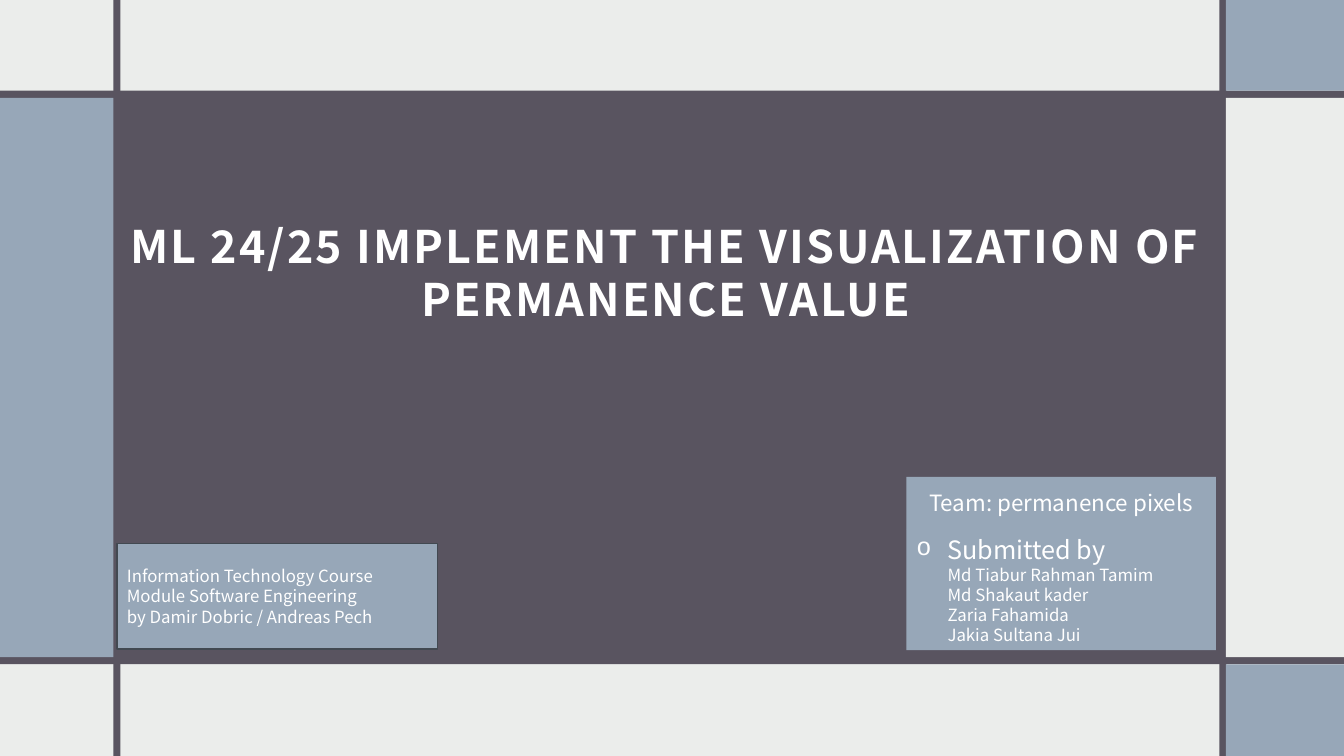
from pptx import Presentation
from pptx import util as u
from pptx.dml.color import RGBColor
from pptx.enum import shapes, text
from pptx.oxml.ns import qn

FONT = "Noto Sans CJK JP"
WHITE, LIGHT, DARK, BLUE, EDGE = "FFFFFF", "EBEDEB", "595460", "97A7B8", "424951"
WIDTH, HEIGHT = 13.33, 7.5
BAND_TOP, BAND_BOTTOM = 0.9, 6.59
RULE, MARGIN = 0.07, 1.17


def color(value):
    return RGBColor.from_string(value)


def add_block(page, left, top, width, height, fill, line=None):
    """Plain rectangle without shadow, outlined only when a line colour is given."""
    block = page.shapes.add_shape(
        shapes.MSO_SHAPE.RECTANGLE, *map(u.Inches, (left, top, width, height)))
    block.shadow.inherit = False
    block.fill.solid()
    block.fill.fore_color.rgb = color(fill)
    if line:
        block.line.color.rgb = color(line)
        block.line.width = u.Pt(1)
    else:
        block.line.fill.background()
    block.text_frame.vertical_anchor = text.MSO_ANCHOR.MIDDLE
    return block


def add_text(frame, words, size, align=text.PP_ALIGN.LEFT, bold=False,
             tracking=0, indent=0, bullet=None):
    """Append one paragraph, filling the frame's first one if it is empty."""
    para = frame.paragraphs[0]
    if para.runs:
        para = frame.add_paragraph()
    para.alignment = align
    para.line_spacing = u.Pt(size * 1.2)
    properties = para._p.get_or_add_pPr()
    if indent:
        properties.set("marL", str(u.Inches(indent)))
    if bullet:
        properties.set("indent", str(-u.Inches(indent)))
        properties.append(properties.makeelement(qn("a:buFont"), {"typeface": "Courier New"}))
        properties.append(properties.makeelement(qn("a:buChar"), {"char": bullet}))
    span = para.add_run()
    span.text = words
    span.font.name = FONT
    span.font.size = u.Pt(size)
    span.font.bold = bold
    span.font.color.rgb = color(WHITE)
    if tracking:
        span._r.get_or_add_rPr().set("spc", str(int(tracking * 100)))


def draw_frame(page, width, height):
    """Dark band, side panels and the two vertical rules."""
    band = BAND_BOTTOM - BAND_TOP
    panel = band - 2 * RULE
    right = width - MARGIN
    add_block(page, 0, BAND_TOP, width, band, DARK)
    add_block(page, 0, BAND_TOP + RULE, MARGIN, panel, BLUE)
    for center in (1.16, 12.13):
        add_block(page, center - RULE / 2, 0, RULE, height, DARK)
    add_block(page, right, BAND_TOP + RULE, MARGIN, panel, LIGHT)
    add_block(page, right, 0, MARGIN, BAND_TOP, BLUE)
    add_block(page, right, BAND_BOTTOM, MARGIN, height - BAND_BOTTOM, BLUE)


def draw_title(page, left, top, width, height):
    box = page.shapes.add_textbox(*map(u.Inches, (left, top, width, height)))
    frame = box.text_frame
    frame.word_wrap = True
    frame.vertical_anchor = text.MSO_ANCHOR.MIDDLE
    frame.margin_left = frame.margin_right = frame.margin_top = u.Inches(0.12)
    # A deep bottom margin lifts the title above the middle
    frame.margin_bottom = u.Inches(2.22)
    add_text(frame, "ML 24/25 IMPLEMENT THE VISUALIZATION OF PERMANENCE VALUE", 32,
             align=text.PP_ALIGN.CENTER, bold=True, tracking=1.5)


def draw_team(page, left, top, width, height):
    """Team name above the list of members."""
    header = 0.52
    members = add_block(page, left, top + header, width, height - header, BLUE).text_frame
    add_text(members, "Submitted by", 18, indent=0.31, bullet="o")
    for name in ("Md Tiabur Rahman Tamim", "Md Shakaut kader",
                 "Zaria Fahamida", "Jakia Sultana Jui"):
        add_text(members, name, 12, indent=0.31)
    team = add_block(page, left, top, width, header, BLUE).text_frame
    add_text(team, "Team: permanence pixels", 16, align=text.PP_ALIGN.CENTER)


def draw_course(page, left, top, width, height):
    course = add_block(page, left, top, width, height, BLUE, line=EDGE).text_frame
    for words in ("Information Technology Course", "Module Software Engineering",
                  "by Damir Dobric / Andreas Pech"):
        add_text(course, words, 12)


def main():
    deck = Presentation()
    deck.slide_width, deck.slide_height = u.Inches(WIDTH), u.Inches(HEIGHT)
    page = deck.slides.add_slide(deck.slide_layouts[6])
    page.background.fill.solid()
    page.background.fill.fore_color.rgb = color(LIGHT)
    draw_frame(page, WIDTH, HEIGHT)
    draw_title(page, 1.15, 0.91, 10.91, 5.68)
    draw_team(page, 8.99, 4.73, 3.07, 1.72)
    draw_course(page, 1.16, 5.39, 3.18, 1.05)
    deck.save("out.pptx")


if __name__ == "__main__":
    main()
